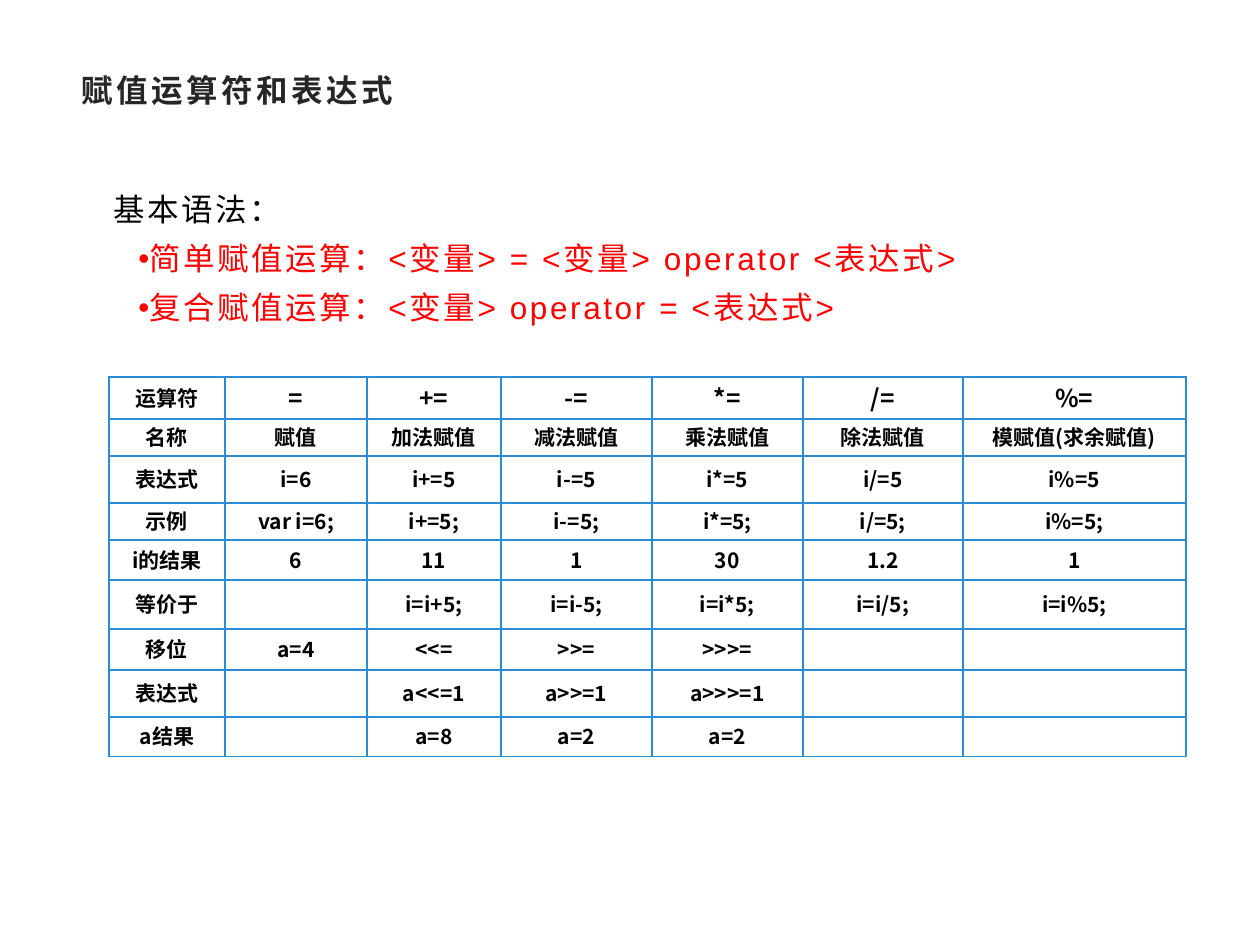
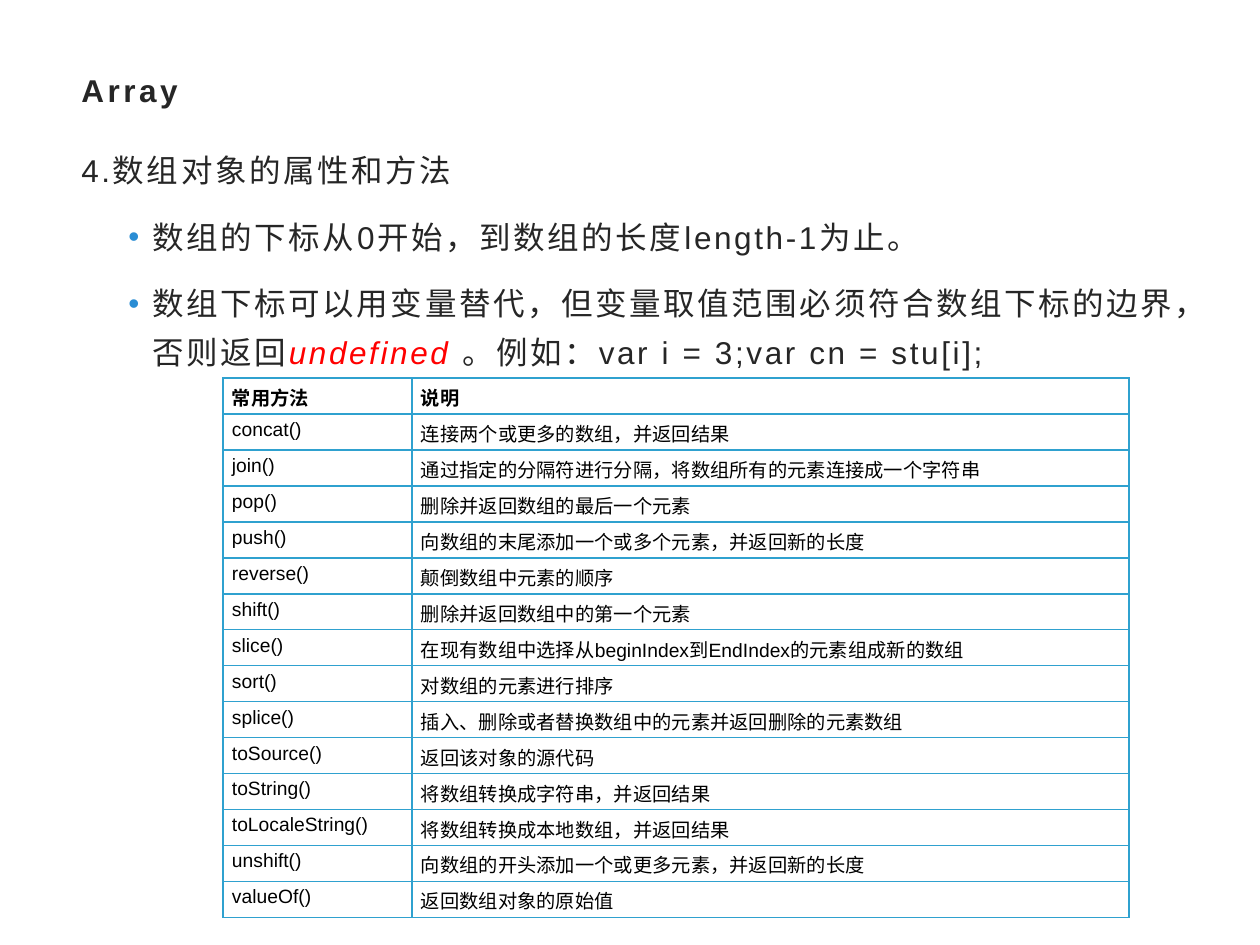
"""Builds two slides on assignment operators and array methods."""
from lxml.etree import SubElement
from pptx import Presentation
from pptx.dml.color import RGBColor
from pptx.enum.text import MSO_ANCHOR as Anchor, PP_ALIGN as Align
from pptx.oxml.ns import qn
from pptx.util import Emu, Pt

BLACK = RGBColor(0x00, 0x00, 0x00)
DARK = RGBColor(0x26, 0x26, 0x26)
RED = RGBColor(0xFF, 0x00, 0x00)
BLUE = RGBColor(0x2A, 0x8D, 0xD4)
CYAN = RGBColor(0x2F, 0xA1, 0xCF)
LATIN, CHINESE = "Arial", "Noto Sans CJK SC"
EMU_PER_PX = 914400 / 126
TITLE_BOX = (69, 60, 1121, 60)

SYNTAX_TITLE = "赋值运算符和表达式"
SYNTAX_BOX = (101, 173, 987, 126)
SYNTAX_HEADING = "基本语法："
SYNTAX_RULES = [
    "简单赋值运算：<变量> = <变量> operator <表达式>",
    "复合赋值运算：<变量> operator = <表达式>",
]
OPERATOR_ORIGIN = (109, 377)
OPERATOR_COLUMNS = [116, 142, 134, 151, 151, 160, 223]
OPERATOR_HEIGHTS = [42, 37, 47, 37, 40, 49, 41, 47, 40]
OPERATORS = [
    ["运算符", "=", "+=", "-=", "*=", "/=", "%="],
    ["名称", "赋值", "加法赋值", "减法赋值", "乘法赋值", "除法赋值", "模赋值(求余赋值)"],
    ["表达式", "i=6", "i+=5", "i-=5", "i*=5", "i/=5", "i%=5"],
    ["示例", "var i=6;", "i+=5;", "i-=5;", "i*=5;", "i/=5;", "i%=5;"],
    ["i的结果", "6", "11", "1", "30", "1.2", "1"],
    ["等价于", "", "i=i+5;", "i=i-5;", "i=i*5;", "i=i/5;", "i=i%5;"],
    ["移位", "a=4", "<<=", ">>=", ">>>=", "", ""],
    ["表达式", "", "a<<=1", "a>>=1", "a>>>=1", "", ""],
    ["a结果", "", "a=8", "a=2", "a=2", "", ""],
]

ARRAY_TITLE = "Array"
ARRAY_BOX = (69, 134, 1173, 525)
ARRAY_HEADING = "4.数组对象的属性和方法"
INDEX_START = "数组的下标从0开始，到数组的长度length-1为止。"
INDEX_LIMIT = [
    "数组下标可以用变量替代，但变量取值范围必须符合数组下标的边界，否则返回",
    "undefined ",
    "。例如：var i = 3;var cn = stu[i];",
]
METHOD_ORIGIN = (223, 378)
METHOD_COLUMNS = [189, 717]
METHOD_HEIGHT = 36
METHODS = [
    ("常用方法", "说明"),
    ("concat()", "连接两个或更多的数组，并返回结果"),
    ("join()", "通过指定的分隔符进行分隔，将数组所有的元素连接成一个字符串"),
    ("pop()", "删除并返回数组的最后一个元素"),
    ("push()", "向数组的末尾添加一个或多个元素，并返回新的长度"),
    ("reverse()", "颠倒数组中元素的顺序"),
    ("shift()", "删除并返回数组中的第一个元素"),
    ("slice()", "在现有数组中选择从beginIndex到EndIndex的元素组成新的数组"),
    ("sort()", "对数组的元素进行排序"),
    ("splice()", "插入、删除或者替换数组中的元素并返回删除的元素数组"),
    ("toSource()", "返回该对象的源代码"),
    ("toString()", "将数组转换成字符串，并返回结果"),
    ("toLocaleString()", "将数组转换成本地数组，并返回结果"),
    ("unshift()", "向数组的开头添加一个或更多元素，并返回新的长度"),
    ("valueOf()", "返回数组对象的原始值"),
]


def px(length):
    return Emu(round(length * EMU_PER_PX))


def style(paragraph, size, color, bold=False, latin=LATIN, tracking=0):
    font = paragraph.font
    font.size, font.bold, font.name = Pt(size), bold, latin
    font.color.rgb = color
    defaults = paragraph._p.pPr.find(qn("a:defRPr"))
    defaults.set("spc", str(round(tracking * 100)))
    SubElement(defaults, qn("a:ea")).set("typeface", CHINESE)


def add_box(page, bounds, anchor=Anchor.TOP):
    frame = page.shapes.add_textbox(*map(px, bounds)).text_frame
    frame.word_wrap = True
    frame.vertical_anchor = anchor
    return frame


def add_bullet(paragraph, left, hanging, color):
    properties = paragraph._p.get_or_add_pPr()
    properties.set("marL", str(px(left)))
    properties.set("indent", str(px(-hanging)))
    tint = SubElement(SubElement(properties, qn("a:buClr")), qn("a:srgbClr"))
    tint.set("val", str(color))
    SubElement(properties, qn("a:buFont")).set("typeface", LATIN)
    SubElement(properties, qn("a:buChar")).set("char", "•")


def add_body(page, bounds, lines, gap=0):
    frame = add_box(page, bounds)
    for index, (spans, color, bullet) in enumerate(lines):
        para = frame.add_paragraph() if index else frame.paragraphs[0]
        if bullet:
            add_bullet(para, *bullet)
        para.line_spacing, para.space_after = Pt(28), Pt(gap)
        style(para, 18, color, tracking=1.5)
        for text in spans:
            para.add_run().text = text
    return frame


def add_page(deck, title):
    page = deck.slides.add_slide(deck.slide_layouts[6])
    para = add_box(page, TITLE_BOX, Anchor.MIDDLE).paragraphs[0]
    para.text = title
    style(para, 18, DARK, bold=True, tracking=2)
    return page


def add_borders(cell, color):
    properties = cell._tc.get_or_add_tcPr()
    for side in ("lnL", "lnR", "lnT", "lnB"):
        line = SubElement(properties, qn(f"a:{side}"))
        line.set("w", str(Pt(1)))
        fill = SubElement(line, qn("a:solidFill"))
        SubElement(fill, qn("a:srgbClr")).set("val", str(color))


def add_grid(page, origin, widths, heights, rows, border, side_margin, format_cell):
    size = (sum(widths), sum(heights))
    table = page.shapes.add_table(len(rows), len(widths), *map(px, origin + size)).table
    table.first_row = table.horz_banding = False
    for column, width in zip(table.columns, widths):
        column.width = px(width)
    for row_index, (row, height, texts) in enumerate(zip(table.rows, heights, rows)):
        row.height = px(height)
        for column_index, (cell, text) in enumerate(zip(row.cells, texts)):
            add_borders(cell, border)
            cell.fill.background()
            cell.margin_left = cell.margin_right = px(side_margin)
            cell.margin_top = cell.margin_bottom = px(5)
            if text:
                cell.text = text
            format_cell(cell, row_index, column_index)


def format_operator(cell, row_index, column_index):
    para = cell.text_frame.paragraphs[0]
    cell.vertical_anchor = Anchor.MIDDLE
    para.alignment, para.line_spacing = Align.CENTER, 0.9
    is_symbol = row_index == 0 and column_index > 0
    style(para, 14 if is_symbol else 12, BLACK, bold=True, latin=CHINESE)


def format_method(cell, row_index, column_index):
    style(cell.text_frame.paragraphs[0], 11, BLACK, bold=row_index == 0)


def build_assignment(deck):
    page = add_page(deck, SYNTAX_TITLE)
    rules = [([rule], RED, (25, 0, RED)) for rule in SYNTAX_RULES]
    add_body(page, SYNTAX_BOX, [([SYNTAX_HEADING], BLACK, None)] + rules)
    add_grid(page, OPERATOR_ORIGIN, OPERATOR_COLUMNS, OPERATOR_HEIGHTS,
             OPERATORS, BLUE, 13, format_operator)


def build_array(deck):
    page = add_page(deck, ARRAY_TITLE)
    bullet = (71, 24, BLUE)
    frame = add_body(page, ARRAY_BOX, [
        ([ARRAY_HEADING], DARK, None),
        ([INDEX_START], DARK, bullet),
        (INDEX_LIMIT, DARK, bullet),
    ], gap=10)
    keyword = frame.paragraphs[-1].runs[1]
    keyword.font.italic = True
    keyword.font.color.rgb = RED
    add_grid(page, METHOD_ORIGIN, METHOD_COLUMNS, [METHOD_HEIGHT] * len(METHODS),
             METHODS, CYAN, 9, format_method)


def main():
    deck = Presentation()
    deck.slide_width, deck.slide_height = px(1260), px(945)
    build_assignment(deck)
    build_array(deck)
    deck.save("out.pptx")


if __name__ == "__main__":
    main()
